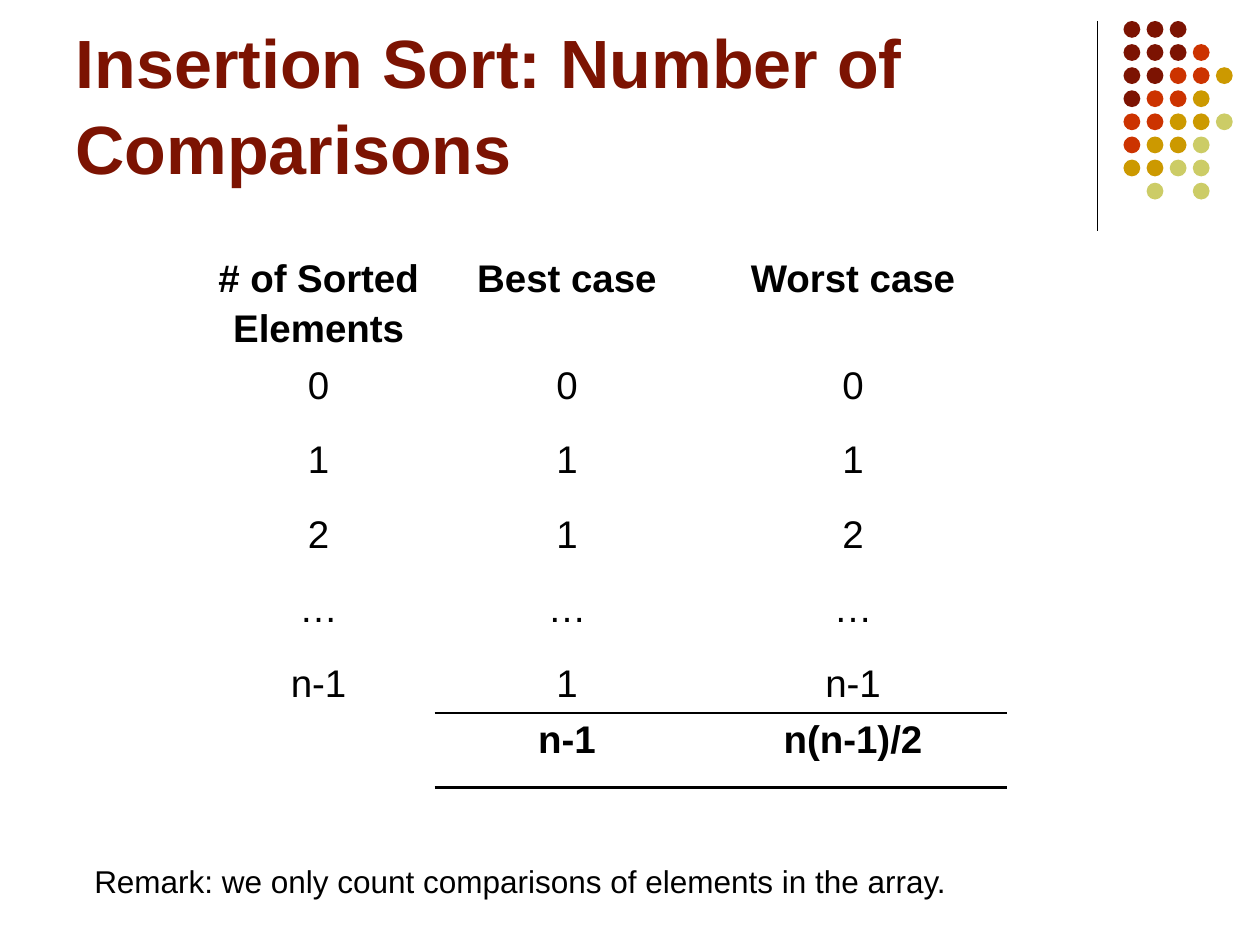
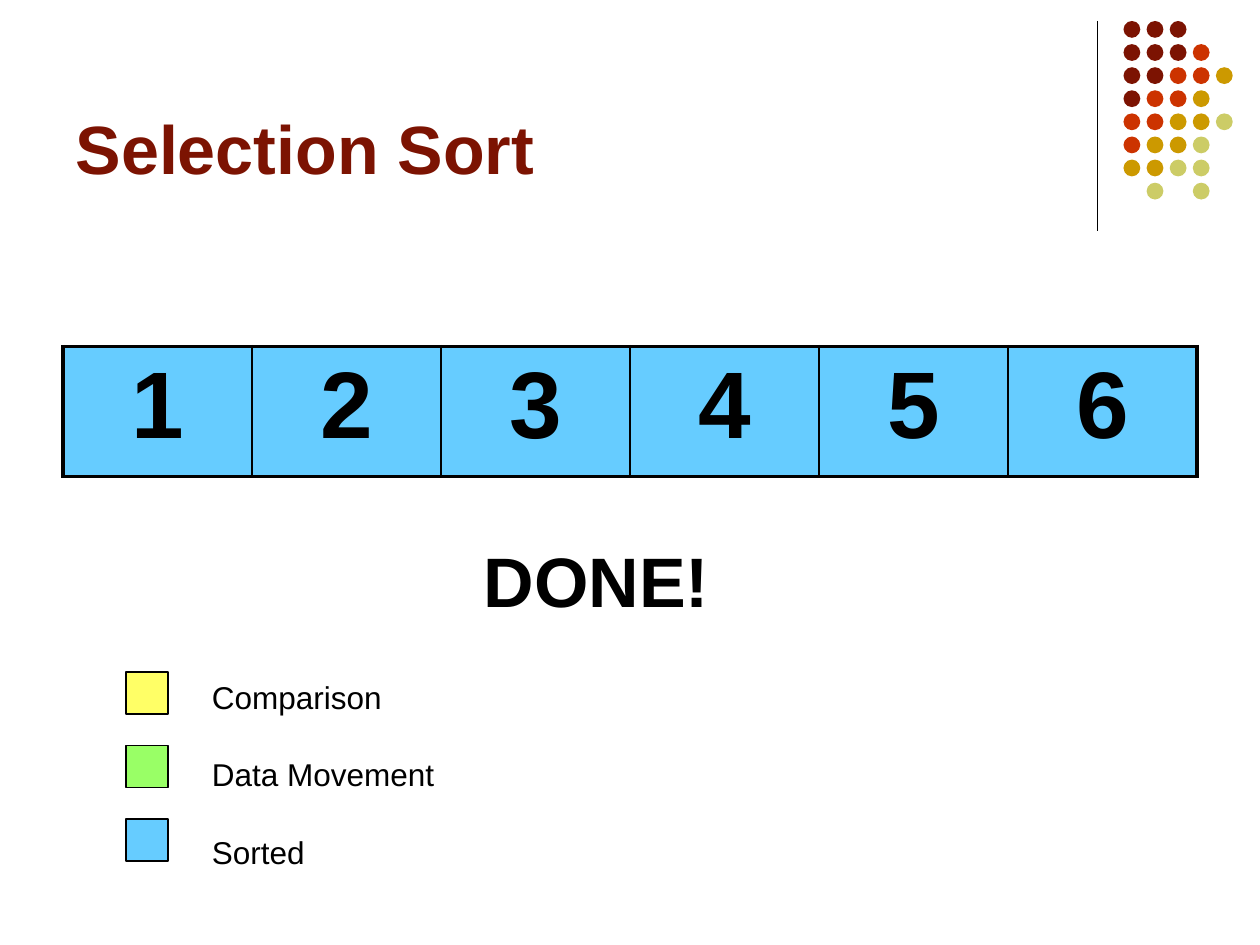
from dataclasses import dataclass

from lxml import etree
from pptx import Presentation
from pptx.dml.color import RGBColor
from pptx.enum.shapes import MSO_CONNECTOR, MSO_SHAPE
from pptx.enum.text import MSO_ANCHOR, MSO_AUTO_SIZE, PP_ALIGN
from pptx.oxml.ns import qn
from pptx.util import Emu, Inches, Pt

OVAL, RECT = MSO_SHAPE.OVAL, MSO_SHAPE.RECTANGLE
STRAIGHT = MSO_CONNECTOR.STRAIGHT
LEFT, CENTER = PP_ALIGN.LEFT, PP_ALIGN.CENTER
BOTTOM, NO_FIT = MSO_ANCHOR.BOTTOM, MSO_AUTO_SIZE.NONE

SLIDE_W, SLIDE_H = Inches(10), Inches(7.5)
GRID_COLS = 120  # square units, 90 rows high
FONT = "Arial"
BLACK, MAROON = "000000", "7C1302"
YELLOW, GREEN, BLUE = "FFFF66", "99FF66", "66CCFF"
NO_TABLE_STYLE = "{2D5ABB26-0587-4C30-8999-92F81FD0307C}"
THIN, THICK = 1, 2.25

DOT_COLORS = {"A": MAROON, "B": "CC3300", "C": "CC9900", "D": "CCCC66"}
DOT_ROWS = ("AAA", "AAAB", "AABBC", "ABBC", "BBCCD", "BCCD", "CCDD", " D D")
DOT_SIZE, DOT_PITCH = 1.6, 2.2


@dataclass(frozen=True)
class Box:
    """A rectangle in grid units."""
    x: float
    y: float
    w: float
    h: float

    def emu(self) -> tuple[Emu, ...]:
        return tuple(unit(v) for v in (self.x, self.y, self.w, self.h))


@dataclass(frozen=True)
class LegendItem:
    label: str
    color: str


TITLE = Box(6, 1.5, 99, 17)
LEGEND = (LegendItem("Comparison", YELLOW),
          LegendItem("Data Movement", GREEN),
          LegendItem("Sorted", BLUE))
COUNTS = (("# of Sorted\nElements", "Best case", "Worst case"),
          ("0", "0", "0"),
          ("1", "1", "1"),
          ("2", "1", "2"),
          ("…", "…", "…"),
          ("n-1", "1", "n-1"),
          ("", "n-1", "n(n-1)/2"))


def unit(value: float) -> Emu:
    return Emu(round(value * SLIDE_W / GRID_COLS))


def rgb(color: str) -> RGBColor:
    return RGBColor.from_string(color)


def write(tf, text: str, *, size: float, bold: bool = False, color: str = BLACK,
          align=LEFT, gap: float = 0, spacing: float | None = None) -> None:
    """Write one paragraph per line of text, with gap points between them."""
    for i, line in enumerate(text.split("\n")):
        p = tf.add_paragraph() if i else tf.paragraphs[0]
        p.alignment = align
        p.line_spacing = spacing
        p.space_before = Pt(gap if i else 0)
        r = p.add_run()
        r.text = line
        r.font.name, r.font.size, r.font.bold = FONT, Pt(size), bold
        r.font.color.rgb = rgb(color)


def add_text(slide, box: Box, text: str, **style) -> None:
    tf = slide.shapes.add_textbox(*box.emu()).text_frame
    tf.word_wrap = False
    write(tf, text, **style)


def add_shape(slide, kind, box: Box, fill: str, line: str | None = None) -> None:
    sp = slide.shapes.add_shape(kind, *box.emu())
    sp.shadow.inherit = False
    sp.fill.solid()
    sp.fill.fore_color.rgb = rgb(fill)
    if line:
        sp.line.color.rgb = rgb(line)
        sp.line.width = Pt(0.75)
    else:
        sp.line.fill.background()


def add_dots(slide) -> None:
    line = slide.shapes.add_connector(STRAIGHT, unit(104.5), unit(2),
                                      unit(104.5), unit(22))
    line.line.color.rgb = rgb(BLACK)
    line.line.width = Pt(0.75)
    etree.SubElement(line._element.spPr, qn("a:effectLst"))
    for row, codes in enumerate(DOT_ROWS):
        for col, code in enumerate(codes):
            if code in DOT_COLORS:
                box = Box(107 + col * DOT_PITCH, 2 + row * DOT_PITCH,
                          DOT_SIZE, DOT_SIZE)
                add_shape(slide, OVAL, box, DOT_COLORS[code])


def new_slide(prs, title: str):
    slide = prs.slides.add_slide(prs.slide_layouts[5])
    add_dots(slide)
    sp = slide.shapes.title
    sp.left, sp.top, sp.width, sp.height = TITLE.emu()
    tf = sp.text_frame
    tf.auto_size, tf.vertical_anchor, tf.word_wrap = NO_FIT, BOTTOM, True
    write(tf, title, size=39, bold=True, color=MAROON, spacing=1.05)
    return slide


def add_table(slide, x: float, y: float, cols: list[float], rows: list[float]):
    """Add a table without any style, sized by its columns and rows."""
    box = Box(x, y, sum(cols), sum(rows))
    table = slide.shapes.add_table(len(rows), len(cols), *box.emu()).table
    table.first_row = table.horz_banding = False
    table._tbl.tblPr.find(qn("a:tableStyleId")).text = NO_TABLE_STYLE
    for column, width in zip(table.columns, cols):
        column.width = unit(width)
    for row, height in zip(table.rows, rows):
        row.height = unit(height)
    return table


def set_borders(cell, **widths: float) -> None:
    """Draw black borders on the sides L, R, T and B, with widths in points."""
    tc_pr = cell._tc.get_or_add_tcPr()
    sides = [side for side in "LRTB" if side in widths]
    for i, side in enumerate(sides):
        ln = etree.Element(qn(f"a:ln{side}"), w=str(Pt(widths[side])))
        fill = etree.SubElement(ln, qn("a:solidFill"))
        etree.SubElement(fill, qn("a:srgbClr"), val=BLACK)
        tc_pr.insert(i, ln)


def build_comparisons(prs) -> None:
    slide = new_slide(prs, "Insertion Sort: Number of Comparisons")
    table = add_table(slide, 19.3, 23.9, [22.1, 25.2, 29.3],
                      [10.2] + [7.1] * 4 + [5.4, 7.1])
    last = len(COUNTS) - 1
    for i, values in enumerate(COUNTS):
        for j, value in enumerate(values):
            cell = table.cell(i, j)
            cell.fill.background()
            if value:
                write(cell.text_frame, value, size=22, bold=i in (0, last),
                      align=CENTER, gap=4)
            if j and i == last - 1:
                set_borders(cell, B=THIN)
            elif j and i == last:
                set_borders(cell, T=THIN, B=THICK)
    add_text(slide, Box(7.8, 81.5, 83.8, 4.8),
             "Remark: we only count comparisons of elements in the array.",
             size=18)


def build_selection_sort(prs) -> None:
    slide = new_slide(prs, "Selection Sort")
    count = 6
    array = add_table(slide, 6, 33, [108 / count] * count, [12.4])
    for i in range(count):
        cell = array.cell(0, i)
        cell.fill.solid()
        cell.fill.fore_color.rgb = rgb(BLUE)
        write(cell.text_frame, str(i + 1), size=54, bold=True, align=CENTER)
        set_borders(cell, T=THICK, B=THICK, L=THIN if i else THICK,
                    R=THIN if i < count - 1 else THICK)
    for i, item in enumerate(LEGEND):
        add_shape(slide, RECT, Box(12, 64 + 7 * i, 4, 4), item.color, BLACK)
    add_text(slide, Box(19, 64, 23.6, 19.2),
             "\n".join(item.label for item in LEGEND), size=18, gap=22.5)
    add_text(slide, Box(44.9, 50.6, 23.9, 9.2), "DONE!", size=40, bold=True)


def main() -> None:
    prs = Presentation()
    prs.slide_width, prs.slide_height = SLIDE_W, SLIDE_H
    build_comparisons(prs)
    build_selection_sort(prs)
    prs.save("out.pptx")


if __name__ == "__main__":
    main()
